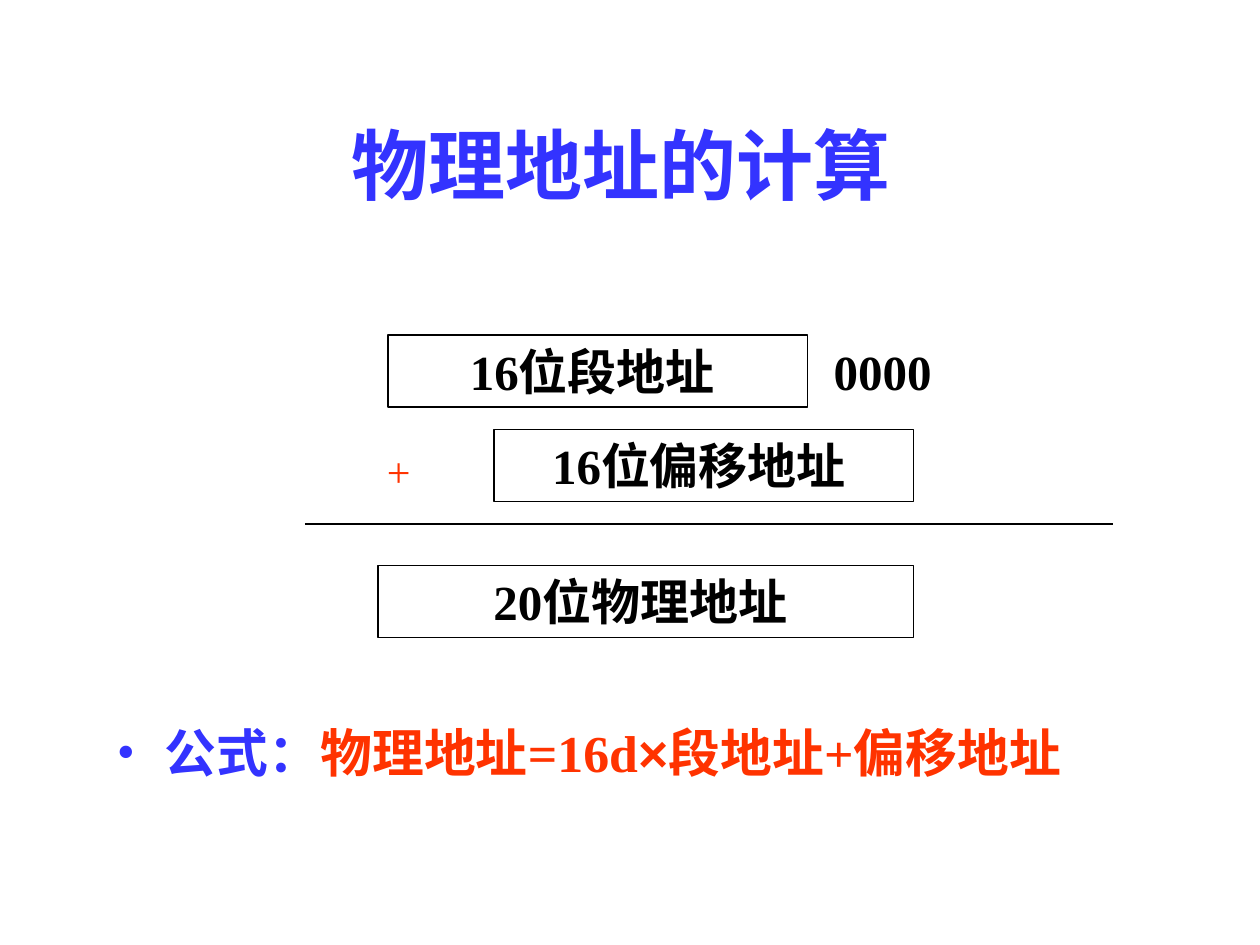
from lxml import etree
from pptx import Presentation
from pptx.dml.color import RGBColor as Rgb
from pptx.enum.shapes import MSO_CONNECTOR as Connector, MSO_SHAPE as Shape
from pptx.enum.text import MSO_ANCHOR as Anchor, MSO_AUTO_SIZE as AutoSize, PP_ALIGN as Align
from pptx.oxml.ns import qn
from pptx.util import Inches, Pt

COLORS = {"blue": "3333FF", "red": "FF3300", "black": "000000"}
SERIF, SANS = "Times New Roman", "Arial"
LINE_WIDTH = Pt(0.75)
ROW_HEIGHT = 0.57
SUM_LINE = (2.42, 4.16, 8.83, 4.16)

TITLE = ("物理地址的计算 ", "blue", 44, True, SERIF)
FORMULA = [
    ("公式：", "blue", 29.6, True, SERIF),
    ("物理地址=16d", "red", 29.6, True, SERIF),
    ("×", "red", 29.6, True, SANS),
    ("段地址+偏移地址", "red", 29.6, True, SERIF),
]
ADDRESS_BOXES = [
    ("16位段地址 ", 3.08, 2.66, 3.33),
    ("16位偏移地址", 3.92, 3.41, 3.33),
    ("20位物理地址 ", 3, 4.49, 4.25),
]
LABELS = [
    (("0000", "black", 28, True, SERIF), (6.42, 2.66, 1.17, ROW_HEIGHT)),
    (("+", "red", 24, False, SERIF), (2.83, 3.49, 0.67, 0.5)),
]


def color(name):
    return Rgb.from_string(COLORS[name])


def write(box, spans, align=Align.CENTER, anchor=Anchor.TOP, auto_size=AutoSize.SHAPE_TO_FIT_TEXT):
    frame = box.text_frame
    layout = {"word_wrap": True, "vertical_anchor": anchor, "auto_size": auto_size}
    for name, value in layout.items():
        setattr(frame, name, value)
    para = frame.paragraphs[0]
    para.alignment = align
    for text, shade, size, bold, face in spans:
        span = para.add_run()
        span.text = text
        for name, value in {"size": Pt(size), "bold": bold, "name": face}.items():
            setattr(span.font, name, value)
        span.font.color.rgb = color(shade)
    return para


def add_text(slide, place, spans, **layout):
    return write(slide.shapes.add_textbox(*map(Inches, place)), spans, **layout)


def add_bullet(para, shade):
    props = para._p.get_or_add_pPr()
    props.set("marL", str(Inches(0.38)))
    props.set("indent", str(Inches(-0.38)))
    tint = etree.SubElement(props, qn("a:buClr"))
    etree.SubElement(tint, qn("a:srgbClr"), val=COLORS[shade])
    etree.SubElement(props, qn("a:buFont"), typeface=SERIF)
    etree.SubElement(props, qn("a:buChar"), char="•")


def add_address_box(slide, text, left, top, width):
    place = map(Inches, (left, top, width, ROW_HEIGHT))
    box = slide.shapes.add_shape(Shape.RECTANGLE, *place)
    box.shadow.inherit = False
    box.fill.background()
    box.line.color.rgb = color("black")
    box.line.width = LINE_WIDTH
    spans = [(text, "black", 28, True, SERIF)]
    if not text.endswith(" "):
        spans.append((" ", "black", 24, False, SERIF))
    write(box, spans)


def add_sum_line(slide):
    rule = slide.shapes.add_connector(Connector.STRAIGHT, *map(Inches, SUM_LINE))
    rule.line.color.rgb = color("black")
    rule.line.width = LINE_WIDTH
    etree.SubElement(rule._element.spPr, qn("a:effectLst"))


def main():
    deck = Presentation()
    deck.slide_width, deck.slide_height = Inches(10), Inches(7.5)
    slide = deck.slides.add_slide(deck.slide_layouts[6])
    add_text(slide, (0.75, 0.67, 8.5, 1.25), [TITLE], anchor=Anchor.MIDDLE, auto_size=AutoSize.NONE)
    formula = add_text(slide, (0.83, 5.67, 8.5, 0.83), FORMULA, align=Align.JUSTIFY, auto_size=AutoSize.NONE)
    add_bullet(formula, "blue")
    for address in ADDRESS_BOXES:
        add_address_box(slide, *address)
    for span, place in LABELS:
        add_text(slide, place, [span])
    add_sum_line(slide)
    deck.save("out.pptx")


if __name__ == "__main__":
    main()
